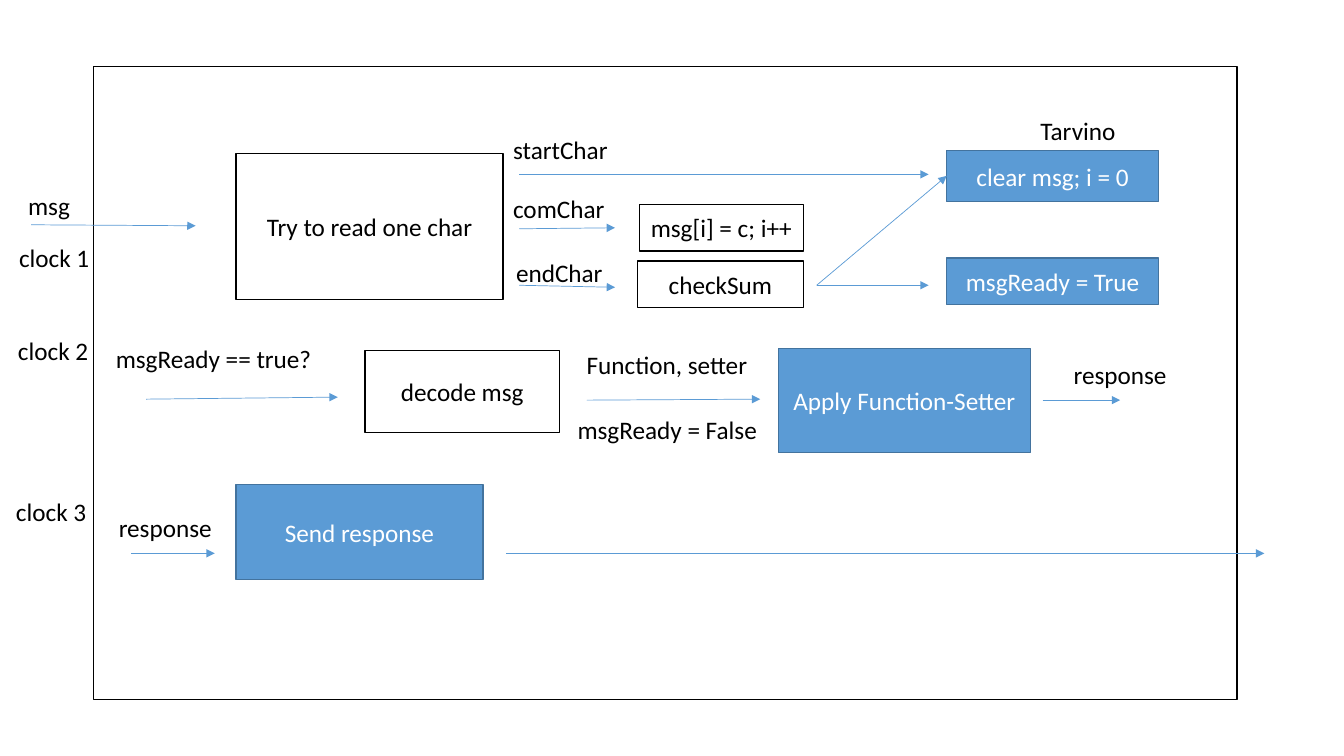
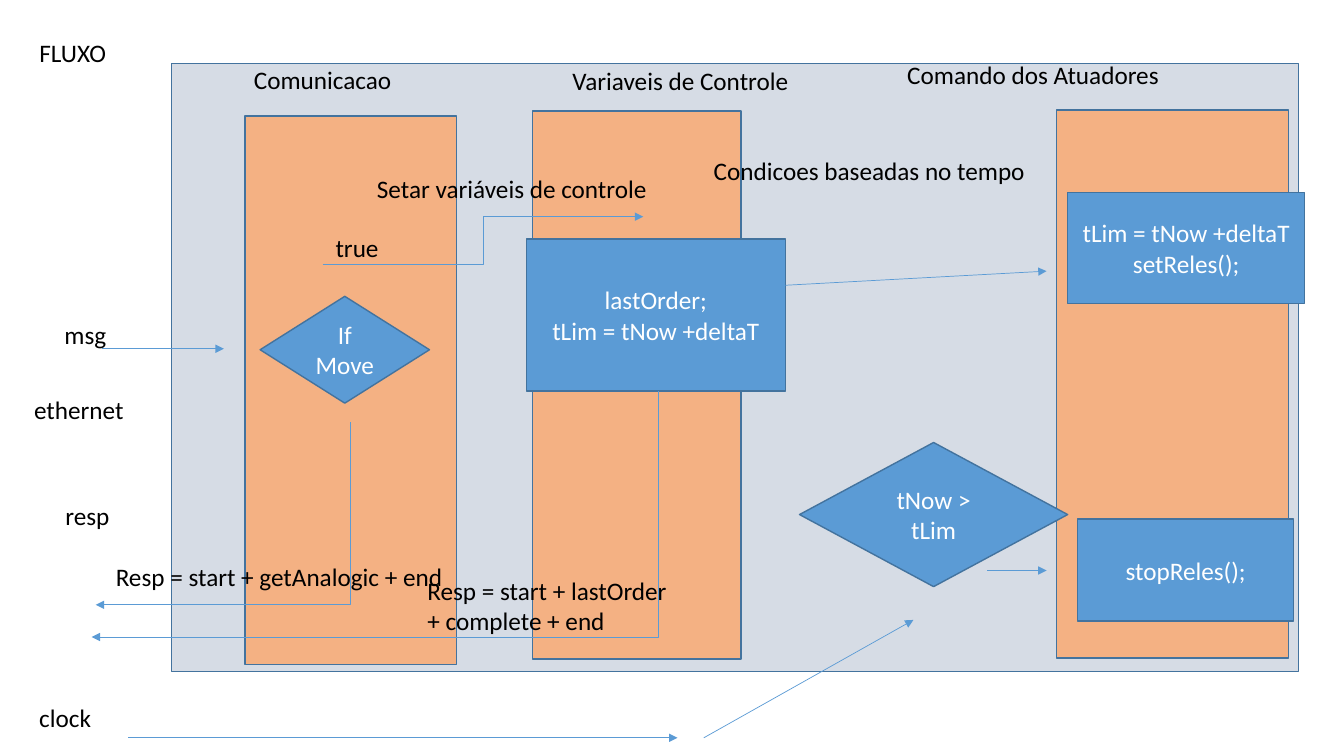
from lxml import etree
from pptx import Presentation
from pptx.dml.color import RGBColor
from pptx.enum import shapes, text
from pptx.oxml.ns import qn
from pptx.util import Inches, Pt

BLACK = RGBColor(0x00, 0x00, 0x00)
WHITE = RGBColor(0xFF, 0xFF, 0xFF)
BLUE = RGBColor(0x5B, 0x9B, 0xD5)
DARK_BLUE = RGBColor(0x43, 0x73, 0x9E)
PALE_BLUE = RGBColor(0xD6, 0xDC, 0xE5)
ORANGE = RGBColor(0xF4, 0xB1, 0x83)
FONT = "Calibri"
FONT_SIZE = 18
LABEL_HEIGHT = 0.4

RECTANGLE = shapes.MSO_SHAPE.RECTANGLE
DIAMOND = shapes.MSO_SHAPE.DIAMOND
LEFT_SIDE = 1

# Style: fill, line, text colour
OUTLINED = (WHITE, BLACK, BLACK)
ACTION = (BLUE, DARK_BLUE, WHITE)
PANEL = (PALE_BLUE, DARK_BLUE, BLACK)
COLUMN = (ORANGE, DARK_BLUE, BLACK)

# Boxes: text, (left, top, width, height), style, preset
# Arrows: start, end (a point, or the text of the box whose left side is joined)
# Elbows: start, end, position of the bend along the way
# Labels: text, left, top, width
CLOCK_CYCLE = {
    "boxes": [
        ("", (0.93, 0.66, 11.34, 6.28), OUTLINED, RECTANGLE),
        ("Try to read one char", (2.34, 1.52, 2.65, 1.45), OUTLINED, RECTANGLE),
        ("msg[i] = c; i++", (6.34, 2.03, 1.63, 0.46), OUTLINED, RECTANGLE),
        ("checkSum", (6.32, 2.59, 1.65, 0.46), OUTLINED, RECTANGLE),
        ("clear msg; i = 0", (9.39, 1.49, 2.1, 0.51), ACTION, RECTANGLE),
        ("msgReady = True", (9.39, 2.56, 2.1, 0.46), ACTION, RECTANGLE),
        ("decode msg", (3.62, 3.48, 1.93, 0.81), OUTLINED, RECTANGLE),
        ("Apply Function-Setter", (7.72, 3.46, 2.5, 1.03), ACTION, RECTANGLE),
        ("Send response", (2.34, 4.81, 2.45, 0.94), ACTION, RECTANGLE),
    ],
    "arrows": [
        ((0.31, 2.23), (1.94, 2.24)),
        ((5.15, 1.73), (9.21, 1.73)),
        ((5.15, 2.27), (6.1, 2.26)),
        ((5.15, 2.83), (6.1, 2.85)),
        ((8.1, 2.83), (9.21, 2.83)),
        ((8.1, 2.83), "clear msg; i = 0"),
        ((1.45, 3.96), (3.35, 3.94)),
        ((5.82, 3.97), (7.54, 3.96)),
        ((10.34, 3.97), (11.11, 3.97)),
        ((1.3, 5.49), (2.13, 5.49)),
        ((5.02, 5.49), (12.54, 5.49)),
    ],
    "elbows": [],
    "labels": [
        ("Tarvino", 10.22, 1.09, 1.02),
        ("msg", 0.18, 1.84, 0.62),
        ("startChar", 4.99, 1.28, 1.15),
        ("comChar", 4.99, 1.87, 1.12),
        ("endChar", 5.02, 2.5, 1.07),
        ("clock 1", 0.09, 2.36, 0.91),
        ("clock 2", 0.08, 3.28, 0.91),
        ("clock 3", 0.06, 4.87, 0.91),
        ("msgReady == true?", 1.05, 3.36, 2.16),
        ("Function, setter", 5.72, 3.42, 1.82),
        ("msgReady = False", 5.63, 4.06, 2),
        ("response", 10.55, 3.52, 1.13),
        ("response", 1.08, 5.03, 1.13),
    ],
    "paragraphs": [],
}

CONTROL_FLOW = {
    "title": ("FLUXO", 0.29, 0.32, 0.87),
    "boxes": [
        ("", (1.7, 0.63, 11.18, 6.03), PANEL, RECTANGLE),
        ("", (2.43, 1.15, 2.1, 5.44), COLUMN, RECTANGLE),
        ("", (5.28, 1.1, 2.07, 5.44), COLUMN, RECTANGLE),
        ("", (10.48, 1.09, 2.3, 5.44), COLUMN, RECTANGLE),
        ("If Move", (2.58, 2.94, 1.68, 1.06), ACTION, DIAMOND),
        ("lastOrder;\ntLim = tNow +deltaT", (5.22, 2.37, 2.57, 1.51), ACTION, RECTANGLE),
        ("tNow > tLim", (7.93, 4.39, 2.66, 1.43), ACTION, DIAMOND),
        ("tLim = tNow +deltaT\nsetReles();", (10.59, 1.91, 2.35, 1.1), ACTION, RECTANGLE),
        ("stopReles();", (10.69, 5.15, 2.14, 1.01), ACTION, RECTANGLE),
    ],
    "arrows": [
        ((1.01, 3.46), (2.22, 3.46)),
        ((7.79, 2.83), (10.38, 2.69)),
        ((1.27, 7.32), (6.72, 7.32)),
        ((6.98, 7.32), (9.06, 6.15)),
        ((9.79, 5.66), (10.38, 5.66)),
    ],
    "elbows": [
        ((3.2, 2.62), (6.38, 2.15), 0.5),
        ((3.48, 4.19), (0.95, 6), 0),
        ((6.53, 3.88), (0.91, 6.32), 0),
    ],
    "labels": [
        ("Comunicacao", 2.42, 0.59, 1.58),
        ("Variaveis de Controle", 5.58, 0.6, 2.37),
        ("Comando dos Atuadores", 8.9, 0.54, 2.73),
        ("Setar variáveis de controle", 3.64, 1.67, 2.91),
        ("Condicoes baseadas no tempo", 6.98, 1.49, 3.32),
        ("true", 3.23, 2.26, 0.63),
        ("msg", 0.54, 3.12, 0.62),
        ("ethernet", 0.24, 3.86, 1.1),
        ("resp", 0.55, 4.91, 0.64),
        ("Resp = start + getAnalogic + end", 1.05, 5.52, 3.48),
        ("clock", 0.29, 6.92, 0.72),
    ],
    "paragraphs": [("Resp = start + lastOrder + complete + end", 4.14, 5.66, 2.58)],
}


def write(shape, content, color=BLACK, align=text.PP_ALIGN.LEFT,
          anchor=text.MSO_ANCHOR.TOP, wrap=True, grow=False):
    frame = shape.text_frame
    frame.text = content
    frame.word_wrap = wrap
    frame.vertical_anchor = anchor
    frame.auto_size = (text.MSO_AUTO_SIZE.SHAPE_TO_FIT_TEXT if grow
                       else text.MSO_AUTO_SIZE.NONE)
    for paragraph in frame.paragraphs:
        paragraph.alignment = align
        paragraph.font.name = FONT
        paragraph.font.size = Pt(FONT_SIZE)
        paragraph.font.color.rgb = color


def add_box(slide, content, bounds, style, preset):
    fill, line, color = style
    shape = slide.shapes.add_shape(preset, *map(Inches, bounds))
    shape.shadow.inherit = False
    shape.fill.solid()
    shape.fill.fore_color.rgb = fill
    shape.line.color.rgb = line
    shape.line.width = Pt(1)
    if content:
        write(shape, content, color=color, align=text.PP_ALIGN.CENTER,
              anchor=text.MSO_ANCHOR.MIDDLE)
    return shape


def add_arrow(slide, start, end, kind=shapes.MSO_CONNECTOR.STRAIGHT):
    connector = slide.shapes.add_connector(kind, *map(Inches, (*start, *end)))
    connector.line.color.rgb = BLUE
    connector.line.width = Pt(0.5)
    etree.SubElement(connector.line._get_or_add_ln(), qn("a:tailEnd"), type="triangle")
    etree.SubElement(connector._element.spPr, qn("a:effectLst"))
    return connector


def add_elbow(slide, start, end, bend):
    connector = add_arrow(slide, start, end, shapes.MSO_CONNECTOR.ELBOW)
    geometry = connector._element.spPr.find(qn("a:prstGeom"))
    guides = geometry.find(qn("a:avLst"))
    if guides is None:
        guides = etree.SubElement(geometry, qn("a:avLst"))
    etree.SubElement(guides, qn("a:gd"), name="adj1", fmla=f"val {round(bend * 100000)}")


def add_label(slide, content, left, top, width, wrap=False):
    box = slide.shapes.add_textbox(*map(Inches, (left, top, width, LABEL_HEIGHT)))
    write(box, content, wrap=wrap, grow=True)


def set_title(slide, content, left, top, width):
    title = slide.shapes.title
    title.left, title.top, title.width, title.height = map(
        Inches, (left, top, width, LABEL_HEIGHT))
    write(title, content, wrap=False, grow=True)


def add_diagram(presentation, diagram):
    layout_name = "Title Only" if "title" in diagram else "Blank"
    layout = presentation.slide_layouts.get_by_name(layout_name)
    slide = presentation.slides.add_slide(layout)
    if "title" in diagram:
        set_title(slide, *diagram["title"])
    boxes = {box[0]: add_box(slide, *box) for box in diagram["boxes"]}
    for start, end in diagram["arrows"]:
        if end in boxes:
            add_arrow(slide, start, start).end_connect(boxes[end], LEFT_SIDE)
        else:
            add_arrow(slide, start, end)
    for elbow in diagram["elbows"]:
        add_elbow(slide, *elbow)
    for label in diagram["labels"]:
        add_label(slide, *label)
    for paragraph in diagram["paragraphs"]:
        add_label(slide, *paragraph, wrap=True)


def main():
    presentation = Presentation()
    presentation.slide_width = Inches(13.33)
    presentation.slide_height = Inches(7.5)
    for diagram in (CLOCK_CYCLE, CONTROL_FLOW):
        add_diagram(presentation, diagram)
    presentation.save("out.pptx")


if __name__ == "__main__":
    main()
